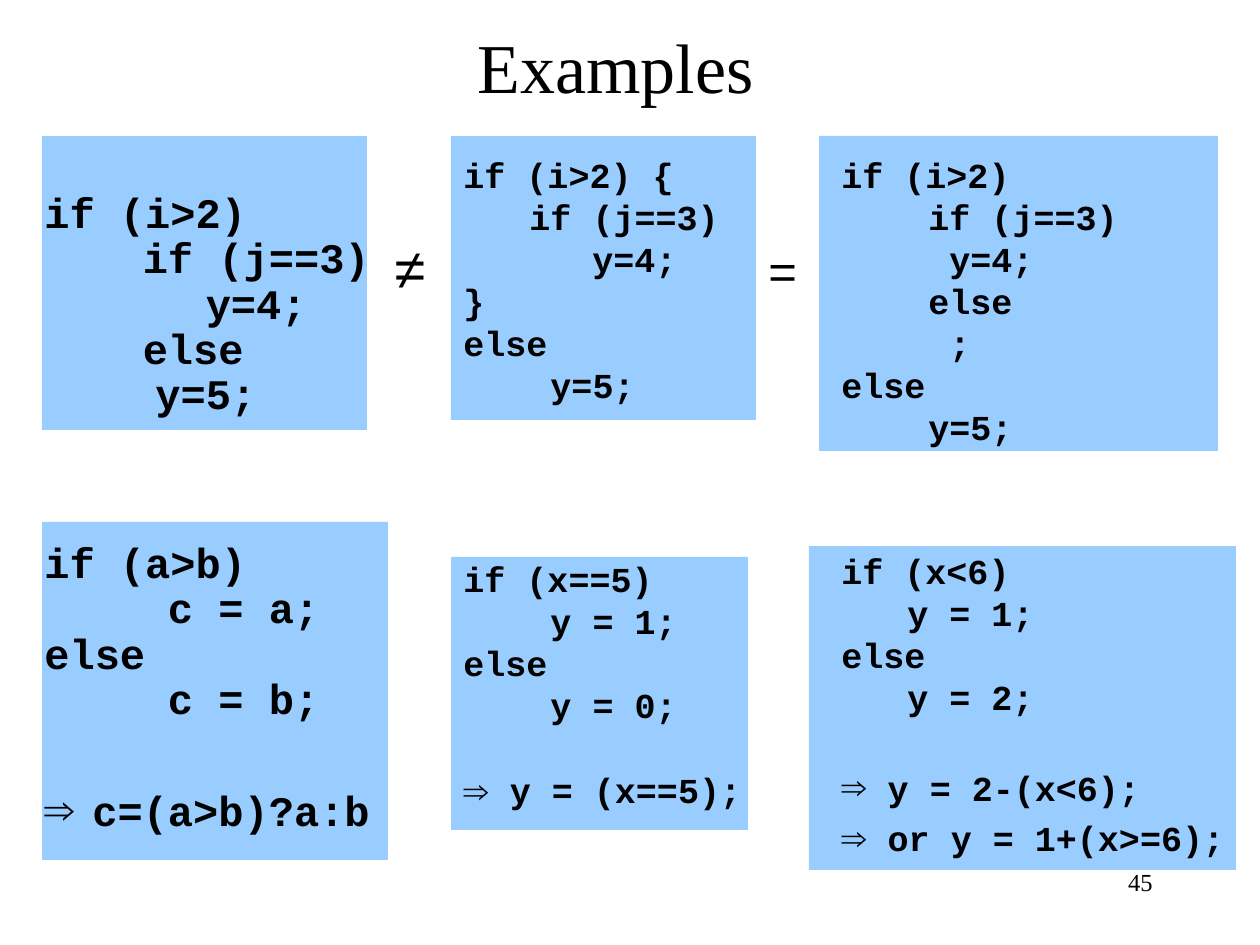
from dataclasses import dataclass

from lxml.etree import SubElement
from pptx import Presentation
from pptx.dml.color import RGBColor as RGB
from pptx.enum.shapes import MSO_SHAPE as SHAPE
from pptx.enum.text import MSO_ANCHOR as ANCHOR, PP_ALIGN as ALIGN
from pptx.oxml.ns import qn
from pptx.util import Emu, Pt

EMU_PER_INCH = 914400
PX_PER_INCH = 126
ARROW = "⇒"


@dataclass(frozen=True)
class Theme:
    panel: RGB = RGB(0x99, 0xCC, 0xFF)
    ink: RGB = RGB(0, 0, 0)
    serif: str = "Times New Roman"
    sans: str = "Arial"
    mono: str = "Courier New"
    title: int = 40
    unequal: int = 32
    equal: int = 28
    large_code: int = 24
    code: int = 20
    number: int = 14


@dataclass(frozen=True)
class Snippet:
    box: tuple
    code: tuple
    results: tuple = ()
    bulleted: bool = True
    gap: int = 0
    size: int = Theme.code
    indent: int = 24
    spacing: float = 1.0


THEME = Theme()

PANELS = [
    (42, 136, 325, 294), (451, 136, 305, 284), (819, 136, 399, 315),
    (42, 522, 346, 338), (451, 557, 297, 273), (809, 546, 427, 324),
]

LARGE = dict(size=THEME.large_code, indent=48, spacing=0.9)

SNIPPETS = [
    Snippet((32, 186, 368, 244),
            ("if (i>2)", "\t  if (j==3)", "\t\t  y=4;", "\t  else", "\t\ty=5;"),
            **LARGE),
    Snippet((451, 147, 357, 273),
            ("if (i>2) {", "\t  if (j==3)", "\t\t  y=4;", "}", "else", "\t   y=5;")),
    Snippet((829, 147, 431, 304),
            ("if (i>2)", "\t   if (j==3)", "\t\t y=4;", "\t   else", "\t\t ;",
             "else", "\t\ty=5;")),
    Snippet((32, 536, 368, 324),
            ("if (a>b)", "\t   c = a;", "else", "\t   c = b;"),
            ("c=(a>b)?a:b",), gap=38, **LARGE),
    Snippet((451, 551, 357, 279),
            ("if (x==5)", "\t   y = 1;", "else", "\t   y = 0;"),
            (" y = (x==5);",), bulleted=False, gap=25),
    Snippet((829, 543, 431, 327),
            ("if (x<6)", "\t  y = 1;", "else", "\t  y = 2;"),
            (" y = 2-(x<6);", " or y = 1+(x>=6);"), gap=28),
]


def px(n):
    return Emu(round(n * EMU_PER_INCH / PX_PER_INCH))


def style_run(r, font, size, bold=False):
    r.font.name = font
    r.font.size = Pt(size)
    r.font.bold = bold
    r.font.color.rgb = THEME.ink


def add_frame(slide, box, wrap=True):
    tf = slide.shapes.add_textbox(*map(px, box)).text_frame
    tf.word_wrap = wrap
    return tf


def add_panel(slide, box):
    s = slide.shapes.add_shape(SHAPE.RECTANGLE, *map(px, box))
    s.shadow.inherit = False
    s.fill.solid()
    s.fill.fore_color.rgb = THEME.panel
    s.line.fill.background()


def add_label(slide, box, text, font, size, align=ALIGN.LEFT,
              anchor=ANCHOR.TOP, wrap=True):
    tf = add_frame(slide, box, wrap)
    tf.text = text
    tf.vertical_anchor = anchor
    p = tf.paragraphs[0]
    p.alignment = align
    style_run(p.runs[0], font, size)


def set_layout(p, indent, bulleted):
    pPr = p._p.get_or_add_pPr()
    pPr.set("marL", str(px(indent)))
    pPr.set("indent", str(-px(indent)))
    if bulleted:
        SubElement(pPr, qn("a:buFont"), typeface=THEME.sans)
        SubElement(pPr, qn("a:buChar"), char=ARROW)
    else:
        SubElement(pPr, qn("a:buNone"))
    tabs = SubElement(pPr, qn("a:tabLst"))
    first = 1 if bulleted else 0
    for inch in range(first, first + 8):
        SubElement(tabs, qn("a:tab"), pos=str(inch * EMU_PER_INCH), algn="l")


def add_line(p, text, snippet, bulleted=False):
    set_layout(p, snippet.indent, bulleted)
    p.line_spacing = snippet.spacing
    p.text = text
    style_run(p.runs[0], THEME.mono, snippet.size, True)


def add_snippet(slide, snippet):
    tf = add_frame(slide, snippet.box)
    for i, text in enumerate(snippet.code):
        p = tf.add_paragraph() if i else tf.paragraphs[0]
        add_line(p, text, snippet)
    for i, text in enumerate(snippet.results):
        p = tf.add_paragraph()
        if snippet.bulleted:
            add_line(p, text, snippet, True)
        else:
            add_line(p, ARROW, snippet)
            p.runs[0].font.name = THEME.sans
            r = p.add_run()
            r.text = text
            style_run(r, THEME.mono, snippet.size, True)
        p.space_before = Pt(5 if i else snippet.gap)


def main():
    prs = Presentation()
    prs.slide_width, prs.slide_height = px(1260), px(945)
    slide = prs.slides.add_slide(prs.slide_layouts[6])
    for box in PANELS:
        add_panel(slide, box)
    add_label(slide, (422, 16, 387, 98), "Examples", THEME.serif, THEME.title,
              ALIGN.CENTER, ANCHOR.MIDDLE)
    for snippet in SNIPPETS:
        add_snippet(slide, snippet)
    add_label(slide, (368, 227, 84, 81), "≠", THEME.sans, THEME.unequal, ALIGN.CENTER)
    add_label(slide, (756, 234, 53, 72), "=", THEME.sans, THEME.equal, wrap=False)
    add_label(slide, (903, 861, 262, 63), "45", THEME.serif, THEME.number, ALIGN.RIGHT)
    prs.save("out.pptx")


if __name__ == "__main__":
    main()
